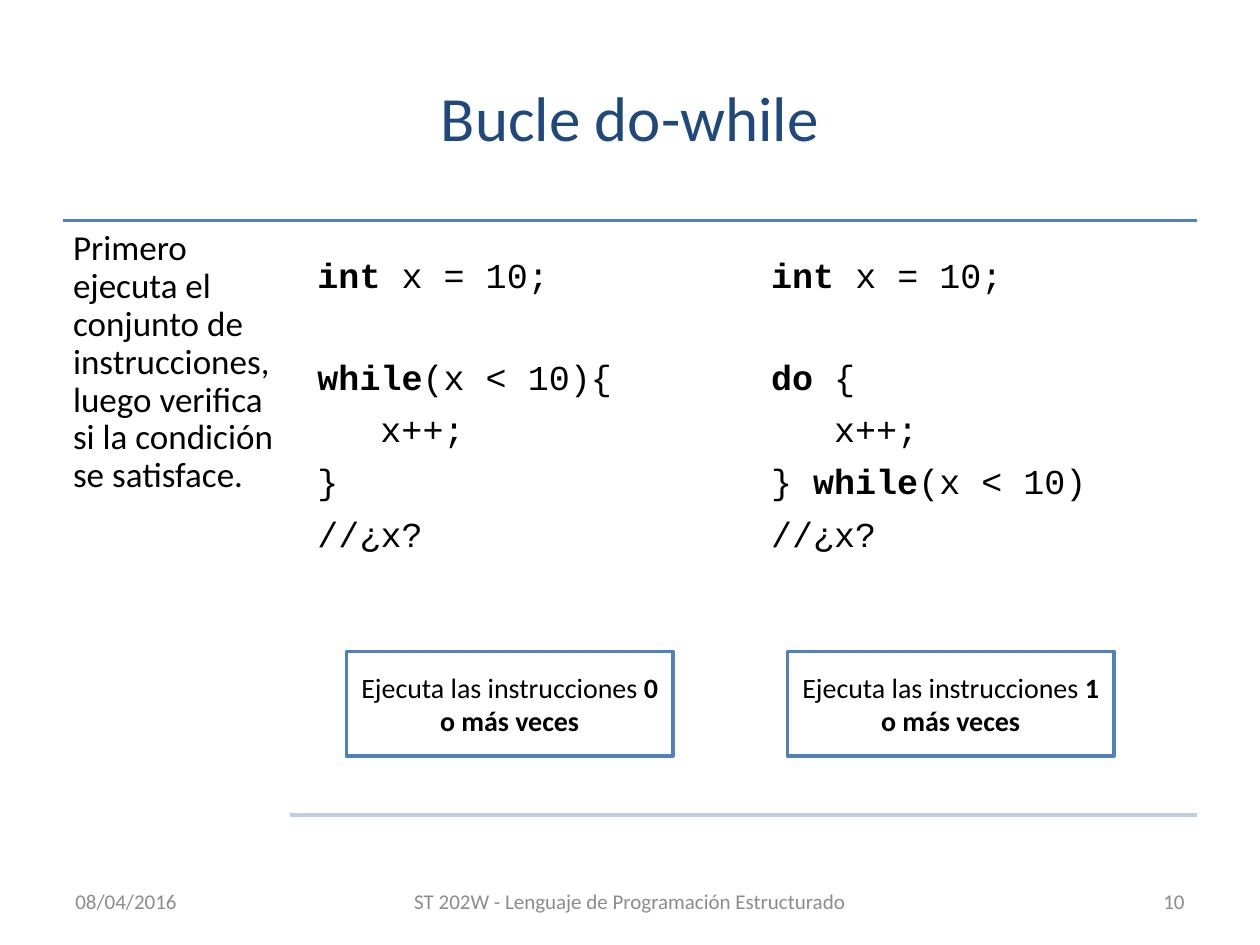
from lxml import etree
from pptx import Presentation
from pptx.dml.color import RGBColor
from pptx.enum.shapes import MSO_CONNECTOR, MSO_SHAPE
from pptx.enum.text import MSO_ANCHOR, PP_ALIGN
from pptx.oxml.ns import qn
from pptx.util import Inches, Pt

LEFT, CENTER, RIGHT = PP_ALIGN.LEFT, PP_ALIGN.CENTER, PP_ALIGN.RIGHT
TOP, MIDDLE = MSO_ANCHOR.TOP, MSO_ANCHOR.MIDDLE
STRAIGHT = MSO_CONNECTOR.STRAIGHT
RECTANGLE = MSO_SHAPE.RECTANGLE

NAVY, BLUE, PALE_BLUE = "1F497D", "4F81BD", "C2CDE1"
BLACK, WHITE, GRAY = "000000", "FFFFFF", "8C8C8C"
BODY_FONT, CODE_FONT = "Calibri", "Courier New"
CODE_GAP = 8.2
CODE_LINE = 28.6


def color(value):
    return RGBColor.from_string(value)


def write_runs(paragraph, runs, size, font, text_color, align=LEFT):
    paragraph.alignment = align
    for text, bold in runs:
        run = paragraph.add_run()
        run.text = text
        run.font.size = Pt(size)
        run.font.name = font
        run.font.bold = bold
        run.font.color.rgb = color(text_color)


def add_text_box(slide, box, anchor=TOP, inset=0.08):
    shape = slide.shapes.add_textbox(*map(Inches, box))
    frame = shape.text_frame
    frame.word_wrap = True
    frame.vertical_anchor = anchor
    frame.margin_left = frame.margin_right = Inches(inset)
    frame.margin_top = frame.margin_bottom = Inches(inset)
    return frame


def add_title(slide, box, text):
    title = slide.shapes.title
    title.left, title.top, title.width, title.height = map(Inches, box)
    title.text_frame.vertical_anchor = MIDDLE
    write_runs(title.text_frame.paragraphs[0], [(text, False)], 36, BODY_FONT, NAVY, CENTER)


def add_rule(slide, left, right, top, line_color):
    line = slide.shapes.add_connector(
        STRAIGHT, Inches(left), Inches(top), Inches(right), Inches(top))
    line.line.color.rgb = color(line_color)
    line.line.width = Pt(2)
    etree.SubElement(line._element.spPr, qn("a:effectLst"))


def add_description(slide, box, text):
    paragraph = add_text_box(slide, box).paragraphs[0]
    paragraph.line_spacing = 0.9
    write_runs(paragraph, [(text, False)], 20, BODY_FONT, BLACK)


def add_code(slide, box, lines):
    frame = add_text_box(slide, box)
    for index, runs in enumerate(lines):
        paragraph = frame.add_paragraph() if index else frame.paragraphs[0]
        paragraph.line_spacing = 0.9
        paragraph.space_after = Pt(CODE_GAP if index else CODE_GAP + CODE_LINE)
        write_runs(paragraph, runs, 20, CODE_FONT, BLACK)


def add_note(slide, box, count):
    shape = slide.shapes.add_shape(RECTANGLE, *map(Inches, box))
    shape.shadow.inherit = False
    shape.fill.solid()
    shape.fill.fore_color.rgb = color(WHITE)
    shape.line.color.rgb = color(BLUE)
    shape.line.width = Pt(2)
    frame = shape.text_frame
    frame.word_wrap = True
    frame.vertical_anchor = MIDDLE
    runs = [("Ejecuta las instrucciones ", False), (f"{count} o más veces", True)]
    write_runs(frame.paragraphs[0], runs, 16, BODY_FONT, BLACK, CENTER)


def add_footer(slide, box):
    left, top, width, height = box
    side = 2.33
    middle = 3.67
    parts = [
        (left, side, "08/04/2016", LEFT),
        (left + (width - middle) / 2, middle,
         "ST 202W - Lenguaje de Programación Estructurado", CENTER),
        (left + width - side, side, "10", RIGHT),
    ]
    for part_left, part_width, text, align in parts:
        frame = add_text_box(slide, (part_left, top, part_width, height), MIDDLE, 0.1)
        write_runs(frame.paragraphs[0], [(text, False)], 12, BODY_FONT, GRAY, align)


def loop_code(opening, closing):
    return [
        [("int ", True), ("x = 10;", False)],
        opening,
        [("\tx++;", False)],
        closing,
        [("//¿x?", False)],
    ]


def build_slide(presentation):
    slide = presentation.slides.add_slide(presentation.slide_layouts[5])
    add_title(slide, (0.5, 0.3, 9, 1.25), "Bucle do-while")
    add_rule(slide, 0.5, 9.5, 1.75, BLUE)
    add_description(
        slide, (0.5, 1.75, 1.8, 4.95),
        "Primero ejecuta el conjunto de instrucciones, luego verifica "
        "si la condición se satisface.")
    while_code = loop_code([("while", True), ("(x < 10){", False)], [("}", False)])
    do_code = loop_code(
        [("do", True), (" {", False)],
        [("} ", False), ("while", True), ("(x < 10)", False)])
    for left, lines in ((2.44, while_code), (6.04, do_code)):
        add_code(slide, (left, 1.97, 3.46, 4.5), lines)
    add_rule(slide, 2.3, 9.5, 6.47, PALE_BLUE)
    add_footer(slide, (0.5, 6.95, 9, 0.4))
    for count in range(2):
        add_note(slide, (2.75 + 3.5 * count, 5.17, 2.59, 0.83), count)


presentation = Presentation()
presentation.slide_width = Inches(10)
presentation.slide_height = Inches(7.5)
build_slide(presentation)
presentation.save("out.pptx")
